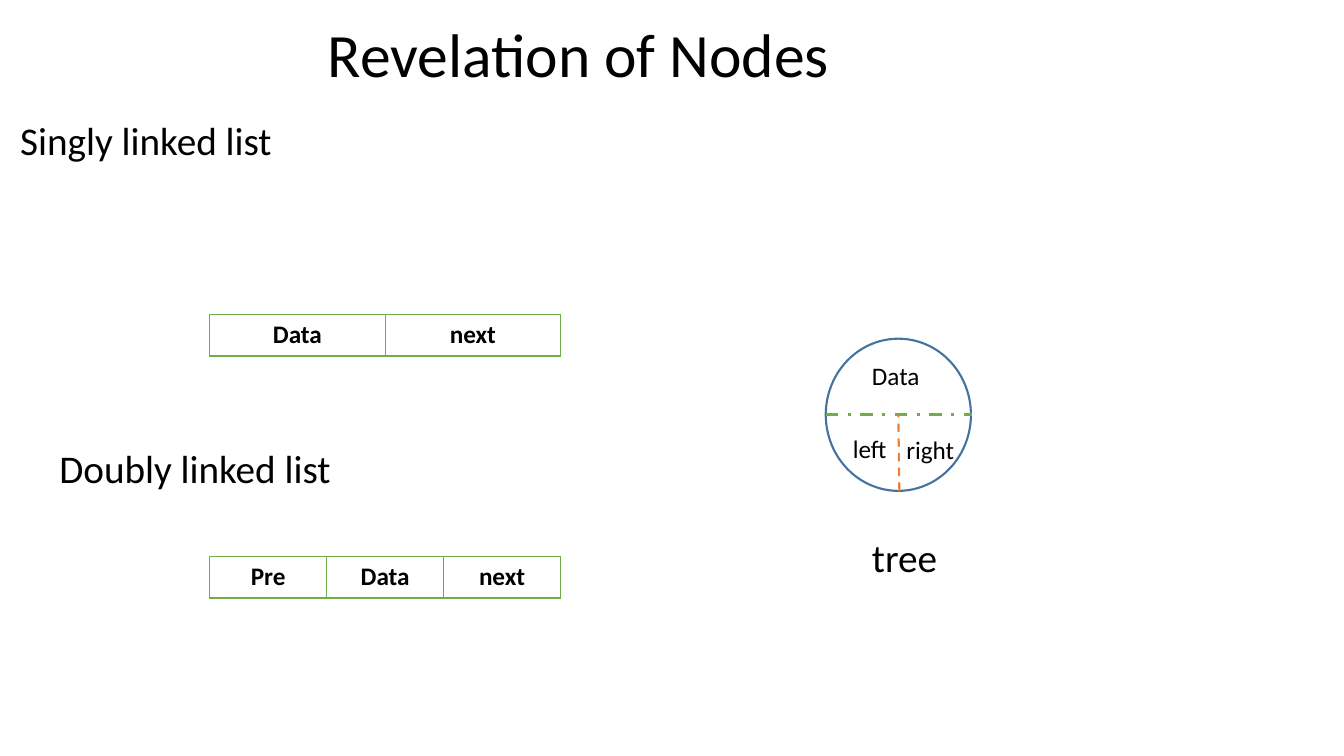
from lxml.etree import SubElement
from pptx import Presentation
from pptx.dml.color import RGBColor
from pptx.enum.dml import MSO_LINE
from pptx.enum.shapes import MSO_CONNECTOR, MSO_SHAPE
from pptx.enum.text import MSO_ANCHOR, PP_ALIGN
from pptx.oxml.ns import qn
from pptx.util import Inches, Pt

HUES = {"ink": "000000", "paper": "FFFFFF", "green": "70AD47",
        "blue": "43739E", "orange": "ED7D31"}
HEAD = {"line_spacing": 0.9, "space_before": Pt(10), "alignment": PP_ALIGN.LEFT}
TITLE = {"line_spacing": 0.9, "alignment": PP_ALIGN.LEFT}
LABEL = {"alignment": PP_ALIGN.LEFT}
CELL = {"alignment": PP_ALIGN.CENTER}


def apply(item, style):
    """Set each attribute named in the style."""
    for key, value in style.items():
        setattr(item, key, value)


def hue(name):
    """Return a named colour."""
    return RGBColor.from_string(HUES[name])


class Page:
    """Hold the style and the current slide."""

    def __init__(self, slide, font):
        """Keep the slide and its font."""
        self.slide = slide
        self.shapes = slide.shapes
        self.font = font

    def label(self, frame, text, size, style, bold=False):
        """Put one formatted paragraph in a text frame."""
        para = frame.paragraphs[0]
        apply(para, style)
        run = para.add_run()
        run.text = text
        apply(run.font, {"name": self.font, "size": Pt(size), "bold": bold})
        run.font.color.rgb = hue("ink")

    def holder(self, index, box, text, size, style, anchor):
        """Move and fill a template placeholder."""
        shape = self.slide.placeholders[index]
        apply(shape, dict(zip(("left", "top", "width", "height"),
                              map(Inches, box))))
        apply(shape.text_frame, {"vertical_anchor": anchor, "word_wrap": True})
        self.label(shape.text_frame, text, size, style)
        return shape

    def plain(self, shape):
        """Take the bullet and indent off a placeholder's first line."""
        props = shape.text_frame.paragraphs[0]._p.get_or_add_pPr()
        props.set("marL", "0")
        props.set("indent", "0")
        SubElement(props, qn("a:buNone"))

    def text(self, box, text, size, style):
        """Add a text box."""
        frame = self.shapes.add_textbox(*map(Inches, box)).text_frame
        frame.word_wrap = True
        self.label(frame, text, size, style)

    def edge(self, cell, color):
        """Draw the borders of a cell, with a heavier bottom."""
        props = cell._tc.get_or_add_tcPr()
        for spot, (side, width) in enumerate(
                (("L", 1), ("R", 1), ("T", 1), ("B", 2))):
            line = SubElement(props, qn(f"a:ln{side}"), w=str(Pt(width)))
            fill = SubElement(line, qn("a:solidFill"))
            SubElement(fill, qn("a:srgbClr"), val=HUES[color])
            props.insert(spot, line)

    def table(self, box, words):
        """Add a one-row table with equal columns."""
        grid = self.shapes.add_table(1, len(words), *map(Inches, box)).table
        apply(grid, {"first_row": False, "horz_banding": False})
        for col, word in enumerate(words):
            grid.columns[col].width = Inches(box[2] / len(words))
            cell = grid.cell(0, col)
            cell.fill.background()
            self.label(cell.text_frame, word, 18, CELL, True)
            self.edge(cell, "green")

    def circle(self, box, fill, color, width):
        """Add a filled and outlined ellipse."""
        shape = self.shapes.add_shape(MSO_SHAPE.OVAL, *map(Inches, box))
        shape.shadow.inherit = False
        shape.fill.solid()
        shape.fill.fore_color.rgb = hue(fill)
        shape.line.color.rgb = hue(color)
        shape.line.width = Pt(width)

    def line(self, ends, color, width, dash):
        """Add a dashed straight line."""
        link = self.shapes.add_connector(MSO_CONNECTOR.STRAIGHT,
                                         *map(Inches, ends))
        link.line.color.rgb = hue(color)
        apply(link.line, {"width": Pt(width), "dash_style": dash})
        SubElement(link._element.spPr, qn("a:effectLst"))


deck = Presentation()
apply(deck, {"slide_width": Inches(13.33), "slide_height": Inches(7.5)})
page = Page(deck.slides.add_slide(deck.slide_layouts[1]), "Calibri")

page.holder(0, (3.15, 0.01, 5.97, 1.12), "Revelation of Nodes", 44, TITLE,
            MSO_ANCHOR.MIDDLE)
body = page.holder(1, (0.1, 1.16, 2.84, 0.65), "Singly linked list", 28, HEAD,
                   MSO_ANCHOR.TOP)
page.plain(body)

for top, words in ((3.12, ("Data", "next")), (5.52, ("Pre", "Data", "next"))):
    page.table((2.08, top, 3.48, 0.41), words)

page.circle((8.19, 3.36, 1.44, 1.51), "paper", "blue", 1.5)
page.line((8.19, 4.11, 9.64, 4.11), "green", 2.25, MSO_LINE.DASH_DOT)
page.line((8.92, 4.87, 8.91, 4.11), "orange", 1.5, MSO_LINE.DASH)

for left, top, word in ((8.55, 3.53, "Data"), (8.36, 4.25, "left"),
                        (8.89, 4.26, "right")):
    page.text((left, top, 0.71, 0.4), word, 18, LABEL)

for left, top, width, word in ((0.49, 4.41, 3, "Doubly linked list"),
                               (8.55, 5.29, 1.02, "tree")):
    page.text((left, top, width, 0.65), word, 28, HEAD)

deck.save("out.pptx")
